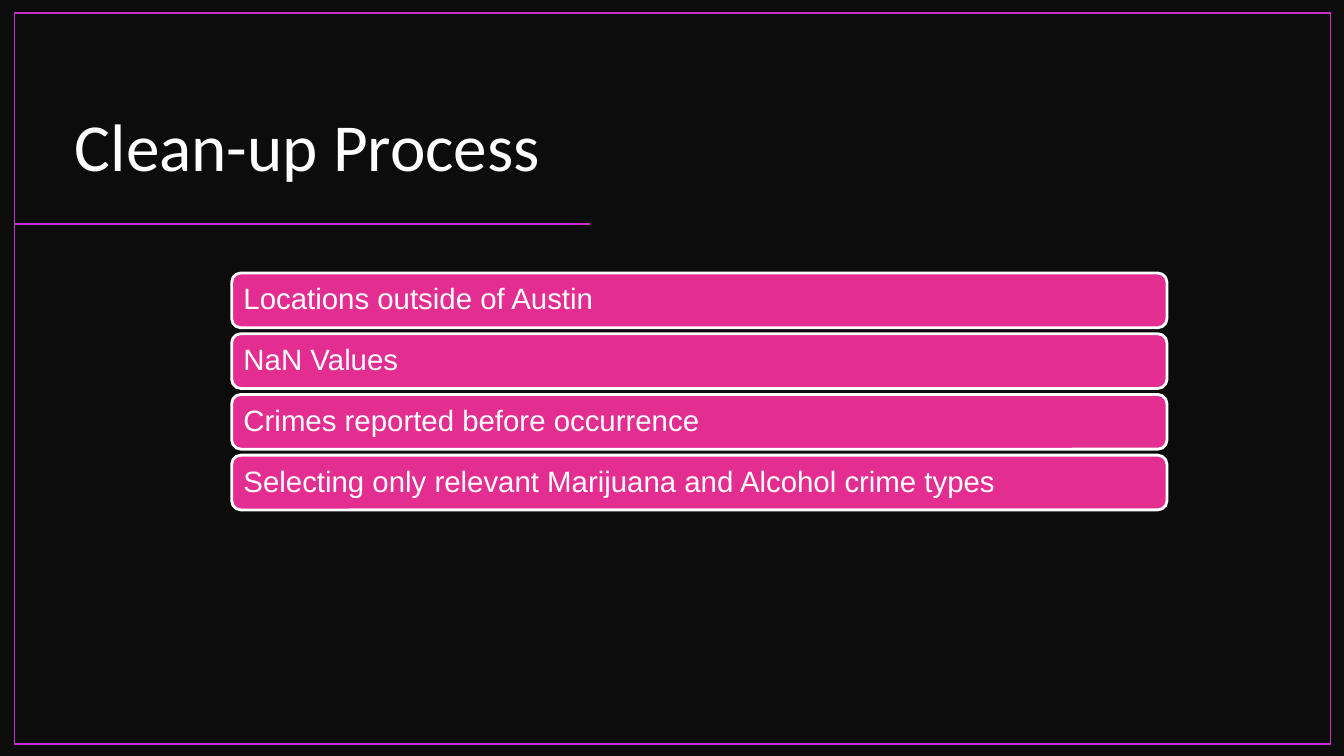
"""Build the clean-up process slide with four stacked step bars."""
from lxml.etree import SubElement
from pptx import Presentation
from pptx.dml.color import RGBColor
from pptx.enum.shapes import MSO_CONNECTOR, MSO_SHAPE
from pptx.enum.text import MSO_ANCHOR, MSO_AUTO_SIZE, PP_ALIGN
from pptx.oxml.ns import qn
from pptx.util import Cm, Pt

TITLE = "Clean-up Process"
STEPS = [
    "Locations outside of Austin",
    "NaN Values",
    "Crimes reported before occurrence",
    "Selecting only relevant Marijuana and Alcohol crime types",
]
BLACK, WHITE, PINK, PURPLE = "0C0C0C", "FFFFFF", "E32D91", "C830CC"
FRAME_LEFT = 0.36
DIVIDER_RIGHT, DIVIDER_TOP = 14.86, 5.64
BAR_LEFT, BAR_TOP, BAR_WIDTH, BAR_HEIGHT = 5.84, 6.88, 23.57, 1.38
BAR_PITCH = 1.53
BAR_INSET = 0.23


def paint(color_format, color):
    color_format.rgb = RGBColor.from_string(color)


def outline(line, color, width):
    paint(line.color, color)
    line.width = Pt(width)


def write(frame, text, font, size, align, anchor):
    frame.text = text
    frame.word_wrap = True
    frame.auto_size = MSO_AUTO_SIZE.NONE
    frame.vertical_anchor = anchor
    para = frame.paragraphs[0]
    para.alignment = align
    para.line_spacing = 0.9
    span = para.runs[0]
    span.font.name = font
    span.font.size = Pt(size)
    paint(span.font.color, WHITE)


def add_title(slide):
    title = slide.shapes.title
    title.left, title.top = Cm(1.35), Cm(1.14)
    title.width, title.height = Cm(12.52), Cm(3.68)
    write(title.text_frame, TITLE, "Calibri", 48, PP_ALIGN.RIGHT, MSO_ANCHOR.BOTTOM)


def add_divider(slide):
    divider = slide.shapes.add_connector(
        MSO_CONNECTOR.STRAIGHT,
        Cm(DIVIDER_RIGHT), Cm(DIVIDER_TOP), Cm(FRAME_LEFT), Cm(DIVIDER_TOP))
    outline(divider.line, PURPLE, 1)
    SubElement(divider._element.spPr, qn("a:effectLst"))


def add_frame(slide):
    frame = slide.shapes.add_shape(
        MSO_SHAPE.RECTANGLE, Cm(FRAME_LEFT), Cm(0.33), Cm(33.17), Cm(18.42))
    frame.shadow.inherit = False
    frame.fill.background()
    outline(frame.line, PURPLE, 1)


def add_step(slide, index, text):
    bar = slide.shapes.add_shape(
        MSO_SHAPE.ROUNDED_RECTANGLE,
        Cm(BAR_LEFT), Cm(BAR_TOP + index * BAR_PITCH), Cm(BAR_WIDTH), Cm(BAR_HEIGHT))
    bar.shadow.inherit = False
    bar.fill.solid()
    paint(bar.fill.fore_color, PINK)
    outline(bar.line, WHITE, 2)
    frame = bar.text_frame
    frame.margin_left = frame.margin_right = Cm(BAR_INSET)
    frame.margin_top = frame.margin_bottom = Cm(BAR_INSET)
    write(frame, text, "Arial", 21, PP_ALIGN.LEFT, MSO_ANCHOR.MIDDLE)


def main():
    deck = Presentation()
    deck.slide_width, deck.slide_height = Cm(33.87), Cm(19.05)
    slide = deck.slides.add_slide(deck.slide_layouts[5])
    slide.background.fill.solid()
    paint(slide.background.fill.fore_color, BLACK)
    add_title(slide)
    add_divider(slide)
    add_frame(slide)
    for index, text in enumerate(STEPS):
        add_step(slide, index, text)
    deck.save("out.pptx")


if __name__ == "__main__":
    main()
